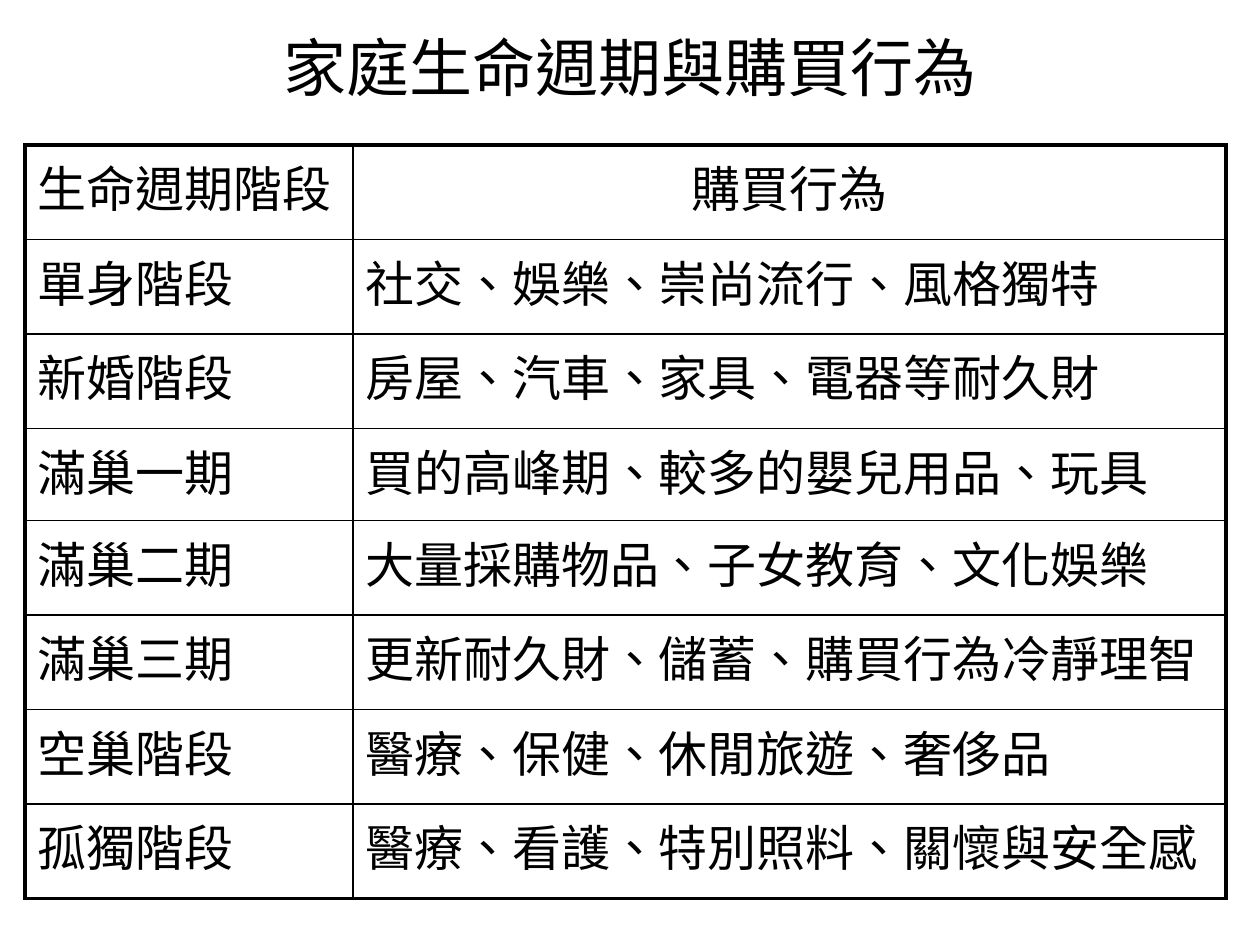
import pptx
import pptx.util
import pptx.dml.color
import pptx.enum.lang
import pptx.enum.text
import pptx.oxml
import pptx.oxml.ns

Inches = pptx.util.Inches
Pt = pptx.util.Pt
ALIGN = pptx.enum.text.PP_ALIGN
BLACK = pptx.dml.color.RGBColor(0, 0, 0)
OUTER_WIDTH, INNER_WIDTH = Pt(2.25), Pt(1)

STAGES = [
    ("生命週期階段", "購買行為"),
    ("單身階段", "社交、娛樂、崇尚流行、風格獨特"),
    ("新婚階段", "房屋、汽車、家具、電器等耐久財"),
    ("滿巢一期", "買的高峰期、較多的嬰兒用品、玩具"),
    ("滿巢二期", "大量採購物品、子女教育、文化娛樂"),
    ("滿巢三期", "更新耐久財、儲蓄、購買行為冷靜理智"),
    ("空巢階段", "醫療、保健、休閒旅遊、奢侈品"),
    ("孤獨階段", "醫療、看護、特別照料、關懷與安全感"),
]
COLUMN_WIDTHS = [2.6, 6.93]
ROW_HEIGHTS = [0.75] * 3 + [0.73] + [0.75] * 4


def write(frame, text, font_name, size, alignment):
    frame.text = text
    paragraph = frame.paragraphs[0]
    paragraph.alignment = alignment
    font = paragraph.runs[0].font
    font.name = font_name
    font.size = Pt(size)
    font.color.rgb = BLACK
    font.language_id = pptx.enum.lang.MSO_LANGUAGE_ID.TRADITIONAL_CHINESE
    return paragraph


def add_border(cell, side, width):
    cell._tc.get_or_add_tcPr().append(pptx.oxml.parse_xml(
        f'<a:ln{side} {pptx.oxml.ns.nsdecls("a")} w="{width}">'
        f'<a:solidFill><a:srgbClr val="{BLACK}"/></a:solidFill>'
        f'<a:prstDash val="solid"/></a:ln{side}>'))


deck = pptx.Presentation()
deck.slide_width, deck.slide_height = Inches(10), Inches(7.5)
slide = deck.slides.add_slide(deck.slide_layouts[6])

title = slide.shapes.add_textbox(Inches(0.5), Inches(0.3), Inches(9), Inches(0.46))
title.text_frame.word_wrap = True
title.text_frame.vertical_anchor = pptx.enum.text.MSO_ANCHOR.MIDDLE
write(title.text_frame, "家庭生命週期與購買行為", "Calibri", 36, ALIGN.CENTER)

stage_table = slide.shapes.add_table(
    len(STAGES), len(COLUMN_WIDTHS), Inches(0.2), Inches(1.15),
    Inches(sum(COLUMN_WIDTHS)), Inches(sum(ROW_HEIGHTS))).table
stage_table.first_row = False
stage_table.horz_banding = False
for column, width in zip(stage_table.columns, COLUMN_WIDTHS):
    column.width = Inches(width)
for row, height in zip(stage_table.rows, ROW_HEIGHTS):
    row.height = Inches(height)

last_row, last_column = len(STAGES) - 1, len(COLUMN_WIDTHS) - 1
for r, stage in enumerate(STAGES):
    for c, text in enumerate(stage):
        cell = stage_table.cell(r, c)
        centred = r == 0 and c == last_column
        paragraph = write(cell.text_frame, text, "Arial", 28,
                          ALIGN.CENTER if centred else ALIGN.LEFT)
        paragraph.space_before = Pt(5.6)
        outer_sides = {"L": c == 0, "R": c == last_column,
                       "T": r == 0, "B": r == last_row}
        for side, is_outer in outer_sides.items():
            add_border(cell, side, OUTER_WIDTH if is_outer else INNER_WIDTH)
        cell.fill.background()

deck.save("out.pptx")
